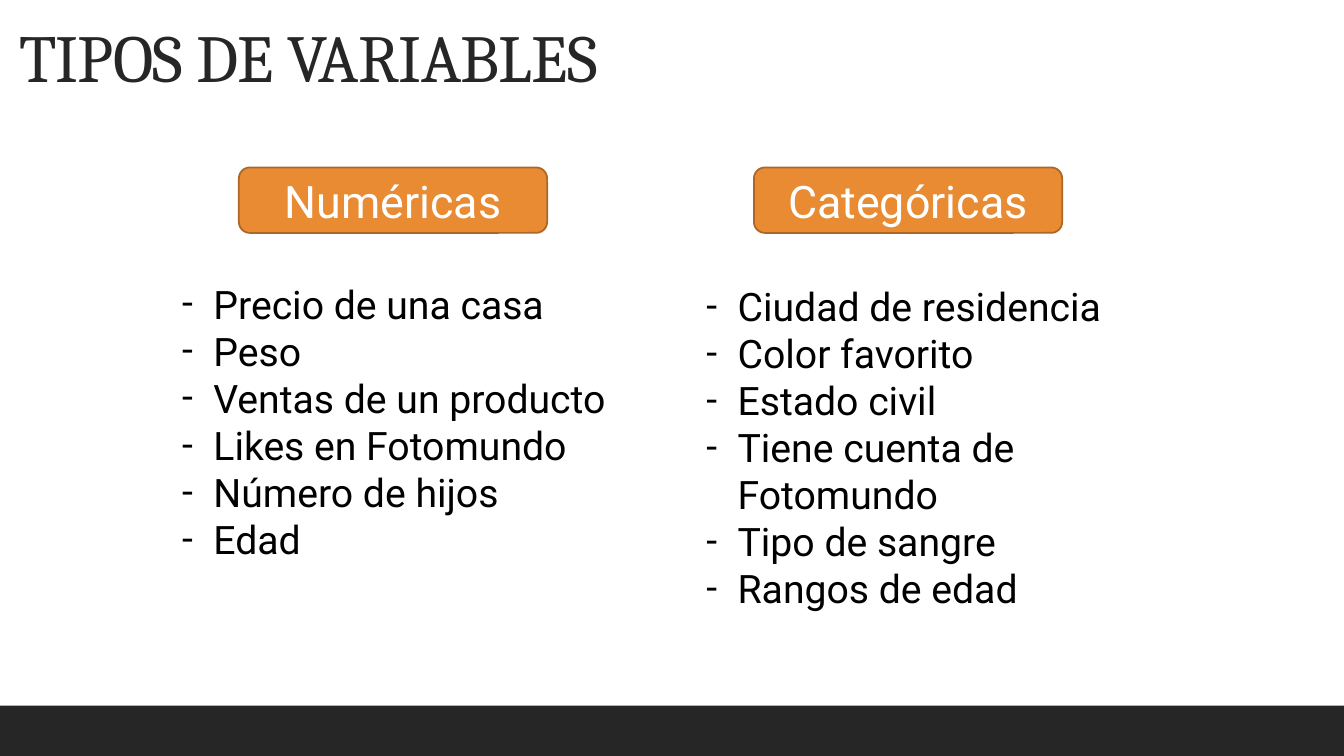
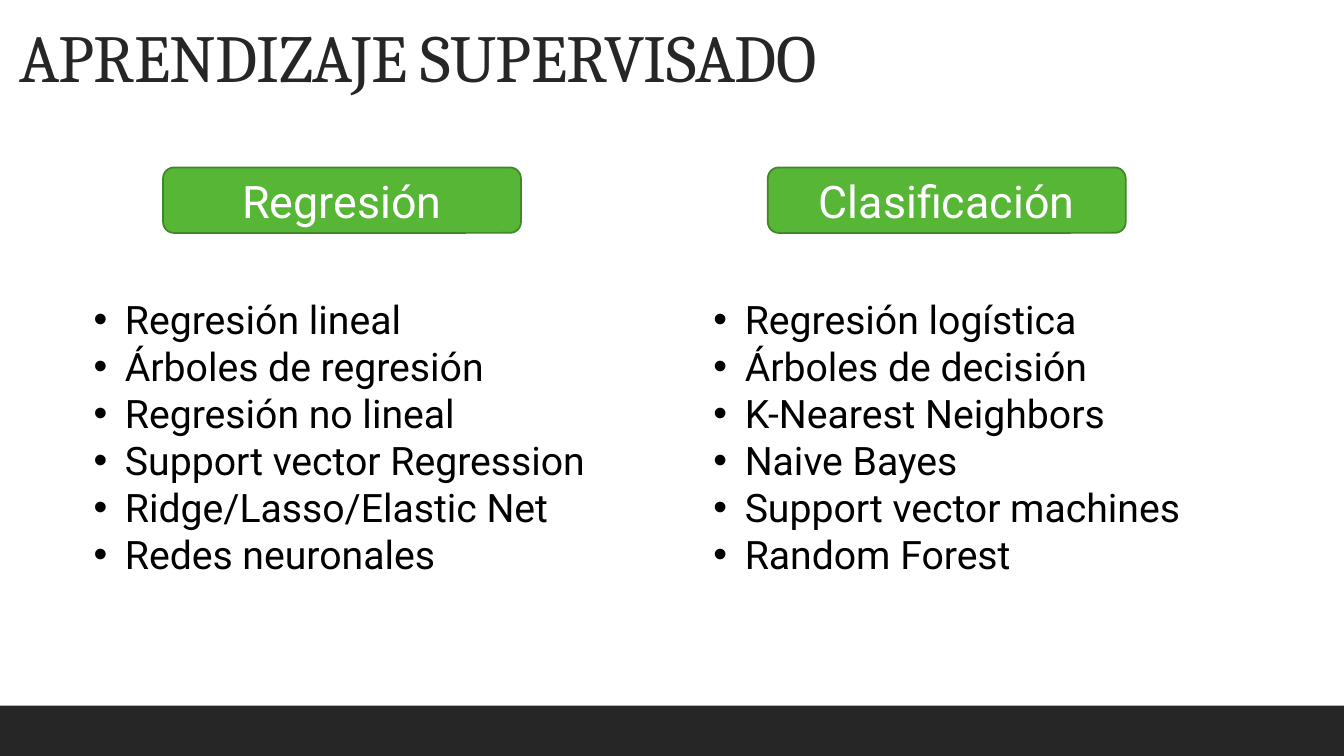
"""Build two slides that compare variable types and supervised learning methods."""
import pptx
import pptx.dml.color
import pptx.enum.shapes
import pptx.enum.text
import pptx.oxml.ns
import pptx.util
from lxml import etree

Cm = pptx.util.Cm
Pt = pptx.util.Pt
RGBColor = pptx.dml.color.RGBColor
MSO_SHAPE = pptx.enum.shapes.MSO_SHAPE
MSO_ANCHOR = pptx.enum.text.MSO_ANCHOR
PP_ALIGN = pptx.enum.text.PP_ALIGN

CHARCOAL = RGBColor(0x26, 0x26, 0x26)
WHITE = RGBColor(0xFF, 0xFF, 0xFF)
BLACK = RGBColor(0x00, 0x00, 0x00)
ORANGE = RGBColor(0xE8, 0x8B, 0x33)
DARK_ORANGE = RGBColor(0xAC, 0x67, 0x26)
GREEN = RGBColor(0x57, 0xB6, 0x36)
DARK_GREEN = RGBColor(0x40, 0x87, 0x28)

TITLE_FONT = {"name": "Cambria", "size": Pt(48)}
HEADING_FONT = {"name": "Roboto", "size": Pt(32)}
ITEM_FONT = {"name": "Roboto", "size": Pt(28)}

SLIDE_WIDTH, SLIDE_HEIGHT = Cm(33.87), Cm(19.05)
BAND_HEIGHT = Cm(1.27)
TITLE_BOX = (Cm(0.23), Cm(0.51), Cm(23.62), Cm(2.06))
HEADING_TOP, HEADING_HEIGHT = Cm(4.22), Cm(1.65)
LIST_HEIGHT = Cm(7.44)
HANGING_INDENT = Cm(0.79)

TOPICS = [
    {
        "title": "TIPOS DE VARIABLES",
        "fill": ORANGE,
        "outline": DARK_ORANGE,
        "bullet": ("-", "Roboto"),
        "heading_width": 7.77,
        "columns": [
            {
                "heading": "Numéricas",
                "heading_left": 6.02,
                "list_box": (4.34, 6.93, 11.56),
                "items": ["Precio de una casa", "Peso", "Ventas de un producto",
                          "Likes en Fotomundo", "Número de hijos", "Edad"],
            },
            {
                "heading": "Categóricas",
                "heading_left": 19.0,
                "list_box": (17.55, 6.99, 11.99),
                "items": ["Ciudad de residencia", "Color favorito", "Estado civil",
                          "Tiene cuenta de Fotomundo", "Tipo de sangre", "Rangos de edad"],
            },
        ],
    },
    {
        "title": "APRENDIZAJE SUPERVISADO",
        "fill": GREEN,
        "outline": DARK_GREEN,
        "bullet": ("•", "Arial"),
        "heading_width": 9.02,
        "columns": [
            {
                "heading": "Regresión",
                "heading_left": 4.11,
                "list_box": (2.11, 7.32, 13.26),
                "items": ["Regresión lineal", "Árboles de regresión", "Regresión no lineal",
                          "Support vector Regression", "Ridge/Lasso/Elastic Net",
                          "Redes neuronales"],
            },
            {
                "heading": "Clasificación",
                "heading_left": 19.35,
                "list_box": (17.73, 7.32, 13.26),
                "items": ["Regresión logística", "Árboles de decisión",
                          "K-Nearest Neighbors", "Naive Bayes",
                          "Support vector machines", "Random Forest"],
            },
        ],
    },
]


def write_run(paragraph, text, font_format, color):
    """Add a formatted run to a paragraph and return it."""
    run = paragraph.add_run()
    run.text = text
    for attribute, value in font_format.items():
        setattr(run.font, attribute, value)
    run.font.color.rgb = color
    return run


def add_filled_shape(slide, preset, box, fill):
    """Add a flat preset shape with a solid fill."""
    shape = slide.shapes.add_shape(preset, *box)
    shape.shadow.inherit = False
    shape.fill.solid()
    shape.fill.fore_color.rgb = fill
    return shape


def add_frame(slide, title):
    """Add the footer band and the title shared by all slides."""
    band_box = (0, SLIDE_HEIGHT - BAND_HEIGHT, SLIDE_WIDTH, BAND_HEIGHT)
    band = add_filled_shape(slide, MSO_SHAPE.RECTANGLE, band_box, CHARCOAL)
    band.line.fill.background()
    frame = slide.shapes.add_textbox(*TITLE_BOX).text_frame
    frame.word_wrap = True
    frame.vertical_anchor = MSO_ANCHOR.BOTTOM
    paragraph = frame.paragraphs[0]
    paragraph.line_spacing = 0.9
    run = write_run(paragraph, title, TITLE_FONT, CHARCOAL)
    run._r.get_or_add_rPr().set("spc", "-50")


def add_heading(slide, box, text, fill, outline):
    """Add a rounded column heading."""
    heading = add_filled_shape(slide, MSO_SHAPE.ROUNDED_RECTANGLE, box, fill)
    heading.line.color.rgb = outline
    heading.line.width = Pt(1.25)
    frame = heading.text_frame
    frame.word_wrap = True
    frame.vertical_anchor = MSO_ANCHOR.MIDDLE
    frame.paragraphs[0].alignment = PP_ALIGN.CENTER
    write_run(frame.paragraphs[0], text, HEADING_FONT, WHITE)


def set_bullet(paragraph, mark, typeface):
    """Give a paragraph a hanging bullet."""
    properties = paragraph._p.get_or_add_pPr()
    properties.set("marL", str(HANGING_INDENT))
    properties.set("indent", str(-HANGING_INDENT))
    for tag, attribute, value in (("a:buFont", "typeface", typeface),
                                  ("a:buChar", "char", mark)):
        etree.SubElement(properties, pptx.oxml.ns.qn(tag)).set(attribute, value)


def add_list(slide, box, items, bullet):
    """Add a bulleted list."""
    frame = slide.shapes.add_textbox(*box).text_frame
    frame.word_wrap = True
    for index, item in enumerate(items):
        paragraph = frame.add_paragraph() if index else frame.paragraphs[0]
        set_bullet(paragraph, *bullet)
        write_run(paragraph, item, ITEM_FONT, BLACK)


def add_topic_slide(presentation, topic):
    """Add a slide with two headed lists."""
    slide = presentation.slides.add_slide(presentation.slide_layouts[6])
    add_frame(slide, topic["title"])
    for column in topic["columns"]:
        heading_box = (Cm(column["heading_left"]), HEADING_TOP,
                       Cm(topic["heading_width"]), HEADING_HEIGHT)
        add_heading(slide, heading_box, column["heading"], topic["fill"], topic["outline"])
        list_box = (*map(Cm, column["list_box"]), LIST_HEIGHT)
        add_list(slide, list_box, column["items"], topic["bullet"])


def main():
    """Build and save the presentation."""
    presentation = pptx.Presentation()
    presentation.slide_width = SLIDE_WIDTH
    presentation.slide_height = SLIDE_HEIGHT
    for topic in TOPICS:
        add_topic_slide(presentation, topic)
    presentation.save("out.pptx")


if __name__ == "__main__":
    main()
